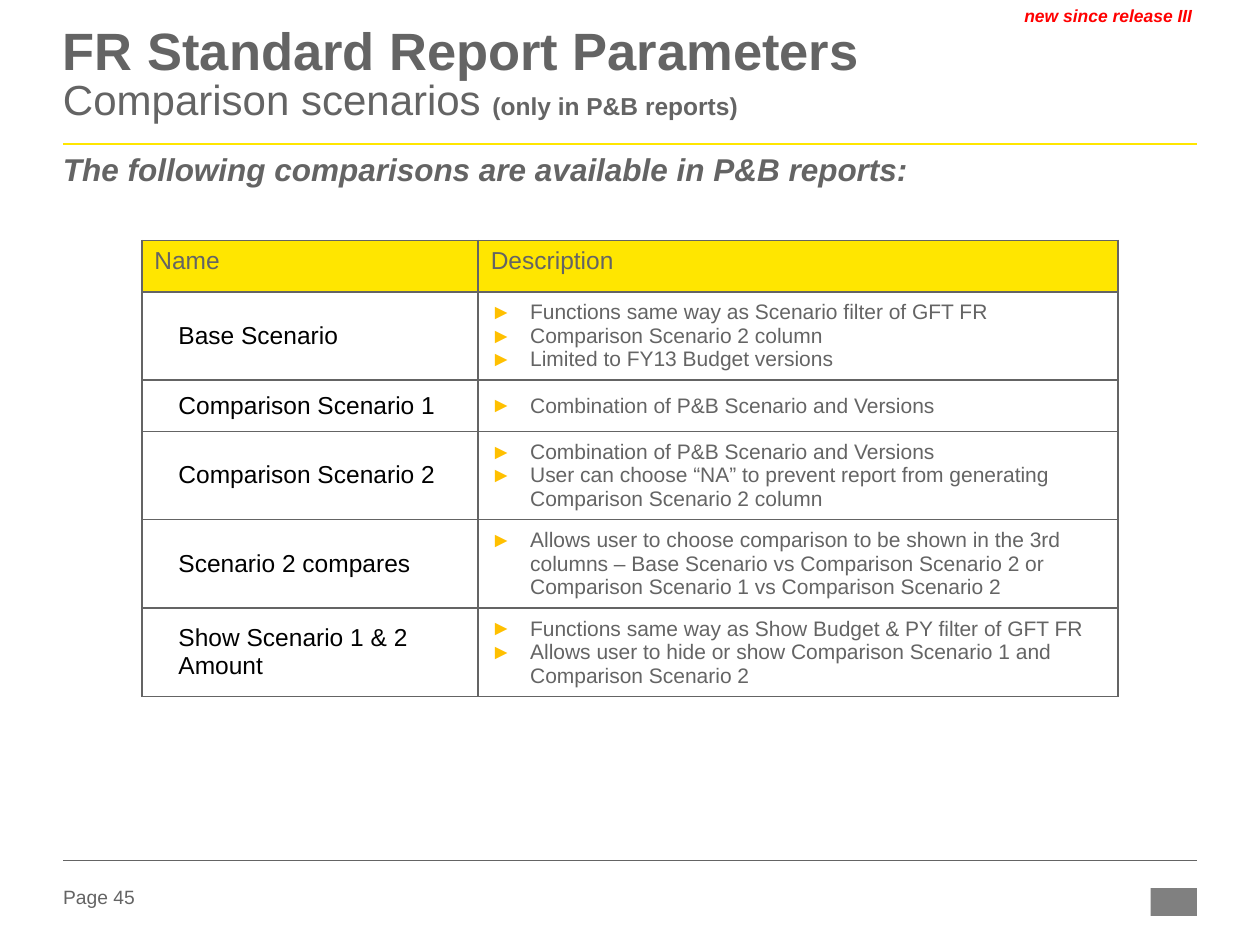
from lxml import etree
from pptx import Presentation
from pptx.dml.color import RGBColor
from pptx.enum import shapes, text
from pptx.oxml import ns
from pptx.util import Pt

GREY = RGBColor(0x64, 0x64, 0x64)
MARK = RGBColor(0x80, 0x80, 0x80)
YELLOW = RGBColor(0xFF, 0xE6, 0x00)
AMBER = RGBColor(0xFF, 0xC0, 0x00)
RED = RGBColor(0xFF, 0x00, 0x00)
BLACK = RGBColor(0, 0, 0)
WHITE = RGBColor(0xFF, 0xFF, 0xFF)

LEFT, WIDE = 36, 648
COLS = (192.24, 365.76)
LOW, HIGH = 29.25, 50.5
ROWS = [
    ("Base Scenario", HIGH, [
        "Functions same way as Scenario filter of GFT FR",
        "Comparison Scenario 2 column",
        "Limited to FY13 Budget versions"]),
    ("Comparison Scenario 1", LOW, [
        "Combination of P&B Scenario and Versions"]),
    ("Comparison Scenario 2", HIGH, [
        "Combination of P&B Scenario and Versions",
        "User can choose “NA” to prevent report from generating "
        "Comparison Scenario 2 column"]),
    ("Scenario 2 compares", HIGH, [
        "Allows user to choose comparison to be shown in the 3rd columns – "
        "Base Scenario vs Comparison Scenario 2 or "
        "Comparison Scenario 1 vs Comparison Scenario 2"]),
    ("Show Scenario 1 & 2 Amount", HIGH, [
        "Functions same way as Show Budget & PY filter of GFT FR",
        "Allows user to hide or show Comparison Scenario 1 and "
        "Comparison Scenario 2"]),
]


def style(font, size, color, bold=False, italic=False):
    font.name, font.size = "Arial", Pt(size)
    font.bold, font.italic = bold, italic
    font.color.rgb = color


def child(node, tag, **attrs):
    return etree.SubElement(node, ns.qn(tag), **attrs)


def add_box(slide, x, y, w, h, wrap=True):
    frame = slide.shapes.add_textbox(Pt(x), Pt(y), Pt(w), Pt(h)).text_frame
    frame.word_wrap = wrap
    frame.margin_left = frame.margin_right = 0
    frame.margin_top = frame.margin_bottom = 0
    return frame


def add_rule(slide, x, y, w, color, width):
    line = slide.shapes.add_connector(
        shapes.MSO_CONNECTOR.STRAIGHT, Pt(x), Pt(y), Pt(x + w), Pt(y))
    line.line.color.rgb = color
    line.line.width = Pt(width)
    child(line._element.spPr, "a:effectLst")


def add_head(slide, x, y, w):
    # Title and subtitle
    para = add_box(slide, x, y, w, 67.5).paragraphs[0]
    para.line_spacing = 0.85
    parts = [("FR Standard Report Parameters", 30, True),
             ("Comparison scenarios ", 24, False),
             ("(only in P&B reports)", 14, True)]
    for i, (words, size, bold) in enumerate(parts):
        run = para.add_run()
        run.text = words
        style(run.font, size, GREY, bold)
        if i == 0:
            para.add_line_break()
    add_rule(slide, x, y + 66.25, w, YELLOW, 1.5)

    # Lead sentence
    lead = add_box(slide, x, y + 69.75, w, 41.75).paragraphs[0]
    lead.text = "The following comparisons are available in P&B reports:"
    style(lead.font, 18, GREY, True, True)

    # Release note at the top right
    frame = add_box(slide, x + w - 99.25, y - 13, 99.25, 12, wrap=False)
    frame.margin_right = Pt(2.9)
    note = frame.paragraphs[0]
    note.text = "new since release III"
    note.alignment = text.PP_ALIGN.RIGHT
    style(note.font, 10, RED, True, True)


def indent(para, left, hang=0, bullet=False):
    props = para._p.get_or_add_pPr()
    props.set("marL", str(Pt(left)))
    props.set("indent", str(Pt(hang)))
    if bullet:
        child(child(props, "a:buClr"), "a:srgbClr", val=str(AMBER))
        child(props, "a:buFont", typeface="Arial")
        child(props, "a:buChar", char="►")


def dress(cell, fill):
    props = cell._tc.get_or_add_tcPr()
    for side in ("a:lnL", "a:lnR", "a:lnT", "a:lnB"):
        edge = child(props, side, w=str(Pt(1)))
        child(child(edge, "a:solidFill"), "a:srgbClr", val=str(GREY))
    cell.fill.solid()
    cell.fill.fore_color.rgb = fill


def add_grid(slide, x, y):
    heights = [LOW] + [row[1] for row in ROWS]
    table = slide.shapes.add_table(
        len(heights), len(COLS), Pt(x), Pt(y),
        Pt(sum(COLS)), Pt(sum(heights))).table
    for col, width in zip(table.columns, COLS):
        col.width = Pt(width)
    for row, height in zip(table.rows, heights):
        row.height = Pt(height)

    # Header row
    for i, words in enumerate(("Name", "Description")):
        cell = table.cell(0, i)
        dress(cell, YELLOW)
        cell.text = words
        style(cell.text_frame.paragraphs[0].font, 14, GREY)

    # Scenario rows
    for i, (name, _, points) in enumerate(ROWS, 1):
        label, detail = table.cell(i, 0), table.cell(i, 1)
        for cell in (label, detail):
            dress(cell, WHITE)
            cell.vertical_anchor = text.MSO_ANCHOR.MIDDLE
        label.text = name
        label.margin_right = label.margin_top = label.margin_bottom = 0
        para = label.text_frame.paragraphs[0]
        indent(para, 13.75)
        style(para.font, 14, BLACK)
        detail.text = "\n".join(points)
        for para in detail.text_frame.paragraphs:
            indent(para, 22.5, -22.5, bullet=True)
            style(para.font, 12, GREY)


def add_foot(slide, x, y, w):
    add_rule(slide, x, y, w, GREY, 0.25)
    frame = add_box(slide, x, y + 13, 57, 16)
    frame.vertical_anchor = text.MSO_ANCHOR.MIDDLE
    page = frame.paragraphs[0]
    page.text = "Page 45"
    style(page.font, 11, GREY)

    # Plain block at the right end
    block = slide.shapes.add_shape(
        shapes.MSO_SHAPE.RECTANGLE, Pt(x + w - 26.5), Pt(y + 16),
        Pt(26.5), Pt(16))
    block.shadow.inherit = False
    block.fill.solid()
    block.fill.fore_color.rgb = MARK
    block.line.fill.background()


def main():
    deck = Presentation()
    deck.slide_width, deck.slide_height = Pt(720), Pt(540)
    slide = deck.slides.add_slide(deck.slide_layouts[6])
    add_foot(slide, LEFT, 491.5, WIDE)
    add_head(slide, LEFT, 16, WIDE)
    add_grid(slide, 81, 137.5)
    deck.save("out.pptx")


if __name__ == "__main__":
    main()
